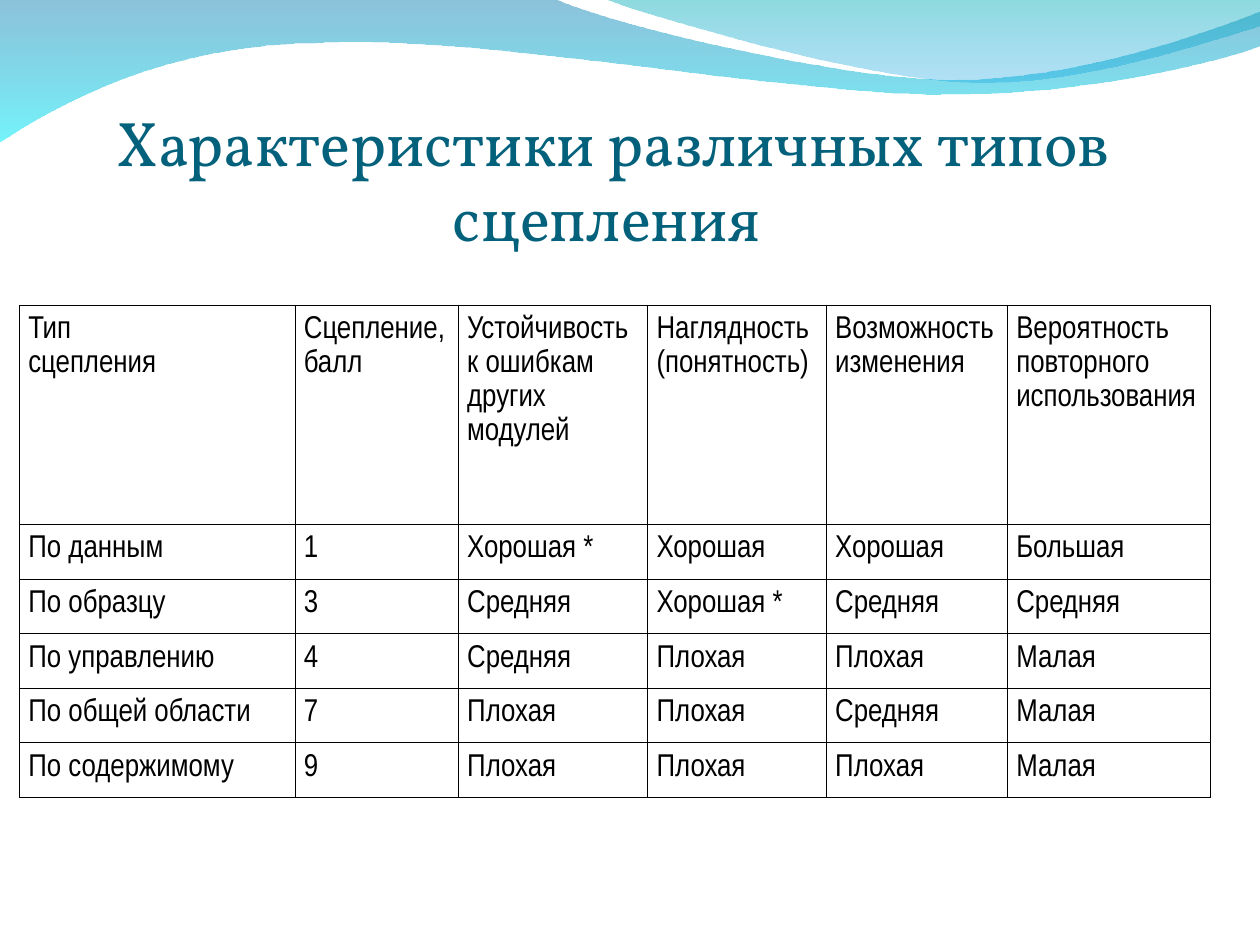
from dataclasses import dataclass

from lxml.etree import SubElement
from pptx import Presentation
from pptx.dml.color import RGBColor
from pptx.enum.text import MSO_ANCHOR as Anchor, MSO_AUTO_SIZE as AutoSize, PP_ALIGN as Align
from pptx.oxml.ns import qn
from pptx.slide import Slide
from pptx.util import Pt

Point = tuple[float, float]

TEAL = RGBColor(0x04, 0x61, 0x7B)
BLACK = RGBColor(0, 0, 0)
DEEP_BLUE = RGBColor(0x00, 0x79, 0xAF)
CYAN = RGBColor(0x00, 0xEB, 0xF8)
SEA_GREEN = RGBColor(0x00, 0xAD, 0xB6)
SKY_BLUE = RGBColor(0x00, 0x9B, 0xE5)

UNITS_PER_POINT = 100  # precision of the wave outlines
TITLE = "Характеристики различных типов сцепления "
COLUMN_WIDTHS = [157.5, 93.3, 108.2, 102.1, 103.5, 115.8]
HEADER_HEIGHT, ROW_HEIGHT = 125.2, 31.22
ROWS = [
    ["Тип\nсцепления", "Сцепление,\nбалл", "Устойчивость\nк ошибкам\nдругих\nмодулей",
     "Наглядность\n(понятность)", "Возможность\nизменения",
     "Вероятность\nповторного\nиспользования"],
    ["По данным", "1", "Хорошая *", "Хорошая", "Хорошая", "Большая"],
    ["По образцу", "3", "Средняя", "Хорошая *", "Средняя", "Средняя"],
    ["По управлению", "4", "Средняя", "Плохая", "Плохая", "Малая"],
    ["По общей области", "7", "Плохая", "Плохая", "Средняя", "Малая"],
    ["По содержимому", "9", "Плохая", "Плохая", "Плохая", "Малая"],
]


@dataclass(frozen=True)
class GradientStop:
    color: RGBColor
    opacity: int  # percent


@dataclass(frozen=True)
class Wave:
    """A closed outline; each step is one line end or three Bézier points."""
    start: Point
    steps: list[tuple[Point, ...]]
    stops: tuple[GradientStop, GradientStop]


WAVES = [
    Wave((0, -0.7), [
        ((316.8, -0.7),),
        ((342.7, 12.2), (478.1, 45.4), (545.8, 45.4)),
        ((614.2, 45.4), (689.8, 18.7), (720, 6.5)),
        ((720.7, 25.9),),
        ((707.8, 31.7), (626.4, 54.7), (537.1, 54)),
        ((447.8, 54), (275, 20.2), (185, 24.5)),
        ((92.9, 25.2), (33.1, 59.8), (-0.7, 81.4)),
    ], (GradientStop(DEEP_BLUE, 45), GradientStop(CYAN, 55))),
    Wave((344.9, -0.7), [
        ((366.5, 7.9), (491, 44.6), (553.7, 46.8)),
        ((616.3, 49.7), (691.9, 23), (720, 15.1)),
        ((720, 0),),
    ], (GradientStop(SEA_GREEN, 45), GradientStop(SKY_BLUE, 30))),
]


def curve_segments(shape, steps: list[tuple[Point, ...]]) -> None:
    """Merge the three line segments of each Bézier step into one curve."""
    segments = iter(shape.element.findall(f".//{qn('a:lnTo')}"))
    for step in steps:
        lines = [next(segments) for _ in step]
        if len(step) == 3:
            curve = lines[0]
            curve.tag = qn("a:cubicBezTo")
            for line in lines[1:]:
                curve.append(line[0])
                line.getparent().remove(line)


def add_wave(slide: Slide, wave: Wave) -> None:
    start, *points = [(x * UNITS_PER_POINT, y * UNITS_PER_POINT)
                      for x, y in [wave.start, *(point for step in wave.steps for point in step)]]
    builder = slide.shapes.build_freeform(*start, scale=Pt(1) / UNITS_PER_POINT)
    builder.add_line_segments(points, close=True)
    shape = builder.convert_to_shape()
    curve_segments(shape, wave.steps)
    shape.shadow.inherit = False
    shape.line.fill.background()
    shape.fill.gradient()
    shape.fill.gradient_angle = 270  # top to bottom
    for gradient_stop, stop in zip(shape.fill.gradient_stops, wave.stops):
        gradient_stop.color.rgb = stop.color
    for color, stop in zip(shape.element.findall(f".//{qn('a:gs')}/{qn('a:srgbClr')}"), wave.stops):
        SubElement(color, qn("a:alpha"), val=str(stop.opacity * 1000))


def add_title(slide: Slide) -> None:
    title = slide.shapes.title
    title.left, title.top, title.width, title.height = Pt(16.6), Pt(90), Pt(667.4), Pt(55.4)
    slide.shapes.element.append(title.element)  # in front of the waves
    frame = title.text_frame
    frame.text = TITLE
    frame.word_wrap = True
    frame.auto_size = AutoSize.NONE
    frame.vertical_anchor = Anchor.BOTTOM
    frame.margin_left = frame.margin_right = frame.margin_bottom = 0
    frame.margin_top = Pt(3.6)
    paragraph = frame.paragraphs[0]
    paragraph.alignment = Align.CENTER
    paragraph.font.name = "Vollkorn"
    paragraph.font.size = Pt(36)
    paragraph.font.color.rgb = TEAL


def add_borders(cell) -> None:
    properties = cell._tc.get_or_add_tcPr()
    for position, side in enumerate(("a:lnL", "a:lnR", "a:lnT", "a:lnB")):
        line = SubElement(properties, qn(side), w=str(Pt(0.45)))
        fill = SubElement(line, qn("a:solidFill"))
        SubElement(fill, qn("a:srgbClr"), val=str(BLACK))
        properties.insert(position, line)


def fill_cell(cell, text: str) -> None:
    cell.fill.background()
    cell.margin_left = cell.margin_right = Pt(5)
    cell.margin_top = cell.margin_bottom = Pt(3.6)
    cell.vertical_anchor = Anchor.TOP
    cell.text_frame.text = text
    for paragraph in cell.text_frame.paragraphs:
        paragraph.line_spacing = 1.15
        paragraph.font.name = "Arial Narrow"
        paragraph.font.size = Pt(18)
        paragraph.font.color.rgb = BLACK
    add_borders(cell)


def add_coupling_table(slide: Slide) -> None:
    height = HEADER_HEIGHT + ROW_HEIGHT * (len(ROWS) - 1)
    table = slide.shapes.add_table(len(ROWS), len(COLUMN_WIDTHS), Pt(11.2), Pt(174.4),
                                   Pt(sum(COLUMN_WIDTHS)), Pt(height)).table
    table.first_row = table.horz_banding = False
    for column, width in zip(table.columns, COLUMN_WIDTHS):
        column.width = Pt(width)
    for index, texts in enumerate(ROWS):
        table.rows[index].height = Pt(ROW_HEIGHT if index else HEADER_HEIGHT)
        for column_index, text in enumerate(texts):
            fill_cell(table.cell(index, column_index), text)


def main() -> None:
    presentation = Presentation()
    presentation.slide_width, presentation.slide_height = Pt(720), Pt(540)
    slide = presentation.slides.add_slide(presentation.slide_layouts[5])
    for wave in WAVES:
        add_wave(slide, wave)
    add_title(slide)
    add_coupling_table(slide)
    presentation.save("out.pptx")


if __name__ == "__main__":
    main()
